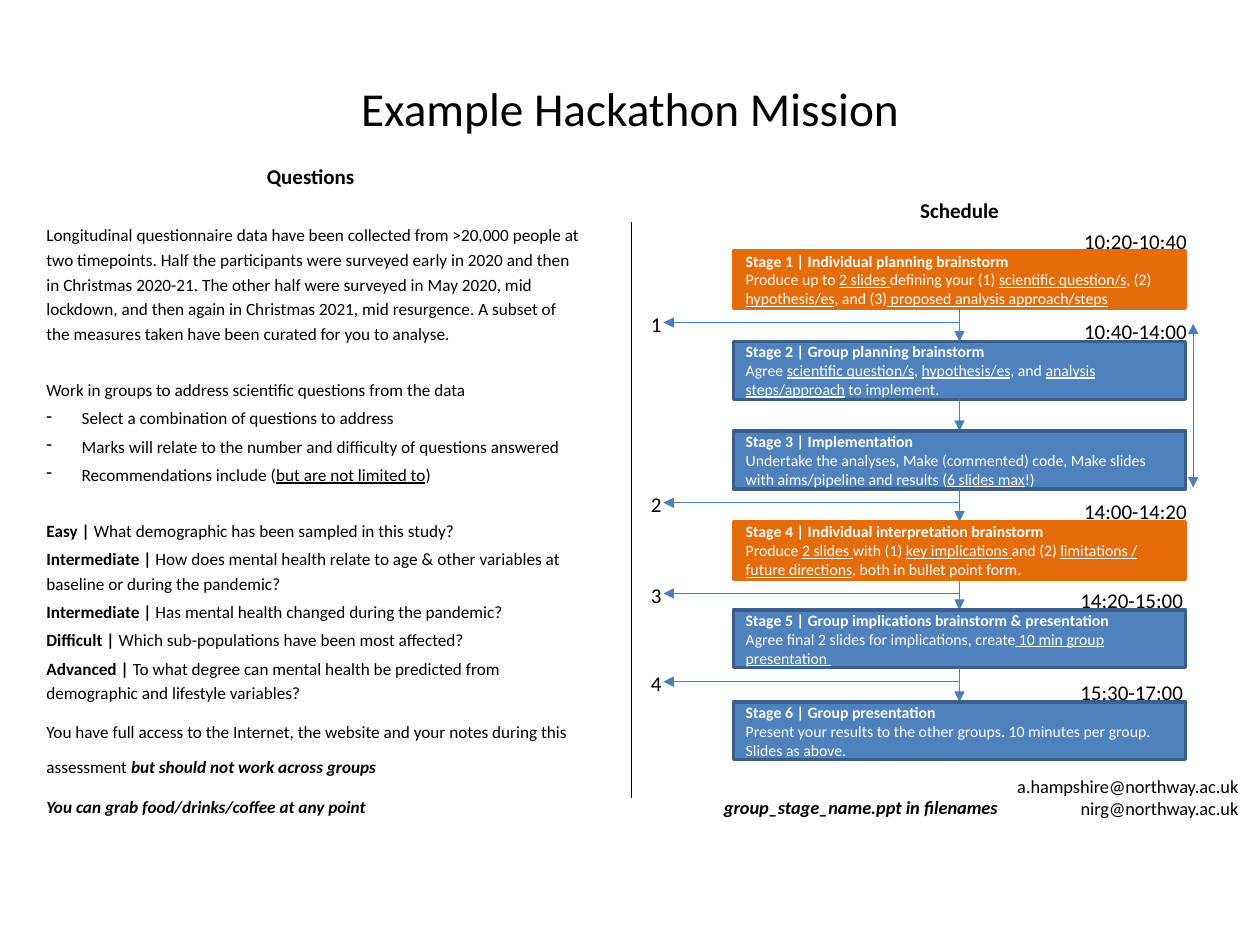
from lxml.etree import SubElement
from pptx import Presentation
from pptx.dml.color import RGBColor
from pptx.enum.shapes import MSO_CONNECTOR as Link, MSO_SHAPE as Shape
from pptx.enum.text import MSO_ANCHOR as Anchor, PP_ALIGN as Align
from pptx.oxml.ns import qn
from pptx.util import Inches, Pt

HUES = {"ink": "000000", "white": "FFFFFF", "solo": "E46C0A",
        "group": "4F81BD", "edge": "3A5F8C", "arrow": "4B7EBC"}
MARKS = {"*": "bold", "^": "italic", "_": "underline"}

INTRO = ("Longitudinal questionnaire data have been collected from >20,000 people at two "
         "timepoints. Half the participants were surveyed early in 2020 and then in Christmas "
         "2020-21. The other half were surveyed in May 2020, mid lockdown, and then again in "
         "Christmas 2021, mid resurgence. A subset of the measures taken have been curated for "
         "you to analyse.")
ASIDE = ("You have full access to the Internet, the website and your notes during this "
         "assessment *^but should not work across groups^*")
TASKS = [
    (INTRO, 1.2, 2, False),
    ("Work in groups to address scientific questions from the data", 1.2, 18, False),
    ("Select a combination of questions to address", 1.2, 2, True),
    ("Marks will relate to the number and difficulty of questions answered", 1.2, 2, True),
    ("Recommendations include (_but are not limited to_)", 1.2, 2, True),
    ("*Easy | *What demographic has been sampled in this study?", 1.2, 18, False),
    ("*Intermediate | *How does mental health relate to age & other variables at baseline "
     "or during the pandemic?", 1.2, 2, False),
    ("*Intermediate | *Has mental health changed during the pandemic?", 1.2, 2, False),
    ("*Difficult | *Which sub-populations have been most affected?", 1.2, 2, False),
    ("*Advanced | *To what degree can mental health be predicted from demographic and "
     "lifestyle variables?", 1.2, 2, False),
    (ASIDE, 1.7, 2, False),
    ("*^You can grab food/drinks/coffee at any point^*", 1.7, 3, False),
]
STAGES = [
    (0.46, "solo", "10:20-10:40", "Individual planning brainstorm",
     "Produce up to _2 slides _defining your (1) _scientific question/s_, (2) "
     "_hypothesis/es_, and (3)_ proposed analysis approach/steps_"),
    (1.18, "group", "10:40-14:00", "Group planning brainstorm",
     "Agree _scientific question/s_, _hypothesis/es_, and _analysis steps/approach_ "
     "to implement."),
    (1.89, "group", "", "Implementation",
     "Undertake the analyses, Make (commented) code, Make slides with aims/pipeline "
     "and results (_6 slides max_!)"),
    (2.61, "solo", "14:00-14:20", "Individual interpretation brainstorm",
     "Produce _2 slides _with (1) _key implications _and (2) _limitations / future "
     "directions_, both in bullet point form."),
    (3.31, "group", "14:20-15:00", "Group implications brainstorm & presentation",
     "Agree final 2 slides for implications, create_ 10 min group presentation _"),
    (4.04, "group", "15:30-17:00", "Group presentation",
     "Present your results to the other groups. 10 minutes per group. Slides as above."),
]
MARKED = {0: "1", 2: "2", 3: "3", 4: "4"}


def hue(name):
    return RGBColor.from_string(HUES[name])


def style(run, size, ink="ink"):
    run.font.name = "Calibri"
    run.font.size = Pt(size)
    run.font.color.rgb = hue(ink)


def write(para, text, size, ink="ink"):
    on, part = set(), ""
    for char in text + "\0":
        if char not in MARKS and char != "\0":
            part += char
            continue
        if part:
            run = para.add_run()
            run.text = part
            style(run, size, ink)
            for mark in on:
                setattr(run.font, mark, True)
        part = ""
        if char in MARKS:
            on ^= {MARKS[char]}


def frame(slide, x, y, w, h, pad=(0.07, 0.04)):
    area = slide.shapes.add_textbox(Inches(x), Inches(y), Inches(w), Inches(h)).text_frame
    area.word_wrap = True
    area.margin_left = area.margin_right = Inches(pad[0])
    area.margin_top = area.margin_bottom = Inches(pad[1])
    return area


def label(slide, box, text, size, align, before=0):
    para = frame(slide, *box).paragraphs[0]
    para.alignment = align
    para.space_before = Pt(before)
    write(para, text, size)


def link(slide, start, end, ink="arrow", tips=(), kind=Link.STRAIGHT):
    line = slide.shapes.add_connector(kind, *[Inches(v) for v in (*start, *end)])
    line.line.color.rgb = hue(ink)
    line.line.width = Pt(0.75)
    props = line._element.spPr
    for tip in tips:
        SubElement(props.find(qn("a:ln")), qn(f"a:{tip}End")).set("type", "triangle")
    SubElement(props, qn("a:effectLst"))
    return props


def bend(slide, x, y, run, drop):
    left, top = x - run / 2 - drop / 2, y + drop / 2 - run / 2
    props = link(slide, (left, top), (left + drop, top + run), tips=["tail"], kind=Link.ELBOW)
    props.find(qn("a:prstGeom")).set("prst", "bentConnector2")
    props.find(qn("a:xfrm")).set("rot", "5400000")


def title(slide, x, y, w, h):
    area = frame(slide, x, y, w, h)
    area.vertical_anchor = Anchor.MIDDLE
    para = area.paragraphs[0]
    para.alignment = Align.CENTER
    write(para, "Example Hackathon Mission", 27)


def tasks(slide, x, y, w, h):
    label(slide, (x - 0.1, y, 4.59, 0.46), "*Questions*", 12, Align.CENTER, 10)
    area = frame(slide, x, y + 0.44, w, h - 0.44, (0.1, 0.05))
    for i, (text, pitch, gap, dash) in enumerate(TASKS):
        para = area.add_paragraph() if i else area.paragraphs[0]
        para.line_spacing = pitch
        para.space_before = Pt(gap)
        write(para, text, 9.8)
        if dash:
            props = para._p.get_or_add_pPr()
            props.set("marL", str(Inches(0.28)))
            props.set("indent", str(-Inches(0.28)))
            SubElement(props, qn("a:buChar")).set("char", "-")


def stage(slide, x, y, w, h, fill, head, body):
    card = slide.shapes.add_shape(Shape.RECTANGLE, Inches(x), Inches(y), Inches(w), Inches(h))
    card.shadow.inherit = False
    card.fill.solid()
    card.fill.fore_color.rgb = hue(fill)
    card.line.color.rgb = hue("solo" if fill == "solo" else "edge")
    card.line.width = Pt(2)
    area = card.text_frame
    area.word_wrap = True
    area.vertical_anchor = Anchor.MIDDLE
    for para, text in ((area.paragraphs[0], f"*{head}*"), (area.add_paragraph(), body)):
        para.alignment = Align.LEFT
        write(para, text, 9, "white")


def schedule(slide, x, y, w, h):
    label(slide, (x, y, w, 0.46), "*Schedule*", 12, Align.CENTER, 10)
    left, wide, high = x + 0.5, 3.59, 0.46
    mid = left + wide / 2
    for i, (top, fill, time, head, body) in enumerate(STAGES):
        base = y + top + high
        stage(slide, left, y + top, wide, high, fill, f"Stage {i + 1} | {head}", body)
        if time:
            edge = 2.48 if i > 3 else 2.51
            label(slide, (x + edge, y + top - 0.22, 1.66, 0.35), time, 12, Align.RIGHT, 10)
        if i + 1 < len(STAGES):
            link(slide, (mid, base), (mid, y + STAGES[i + 1][0]), tips=["tail"])
        if i in MARKED:
            label(slide, (x - 1.97, base - 0.02, 1.97, 0.57), MARKED[i], 12, Align.RIGHT)
            bend(slide, mid, base, 2.35, 0.11)
    link(slide, (x + 4.15, y + 1.04), (x + 4.15, y + 2.34), tips=["head", "tail"])


def contact(slide, x, y, w, h):
    label(slide, (x, y + 0.17, 3.74, h - 0.17), "", 10.5, Align.RIGHT)
    para = slide.shapes[-1].text_frame.paragraphs[0]
    para.text = "group_stage_name.ppt in filenames"
    run = para.runs[0]
    style(run, 10.5)
    run.font.bold = run.font.italic = True
    area = frame(slide, x + 3.74, y, w - 3.74, h)
    area.text = "a.hampshire@northway.ac.uk\nnirg@northway.ac.uk"
    for para in area.paragraphs:
        para.alignment = Align.RIGHT
        style(para.runs[0], 10.5)


def main():
    deck = Presentation()
    deck.slide_width, deck.slide_height = Inches(10), Inches(7.5)
    slide = deck.slides.add_slide(deck.slide_layouts[6])
    title(slide, 1.25, 0.44, 7.5, 0.83)
    tasks(slide, 0.27, 1.26, 4.43, 4.59)
    link(slide, (5.01, 1.76), (5.01, 6.33), "ink")
    schedule(slide, 5.32, 1.53, 4.59, 4.5)
    contact(slide, 4.25, 6.11, 5.65, 0.57)
    deck.save("out.pptx")


if __name__ == "__main__":
    main()
